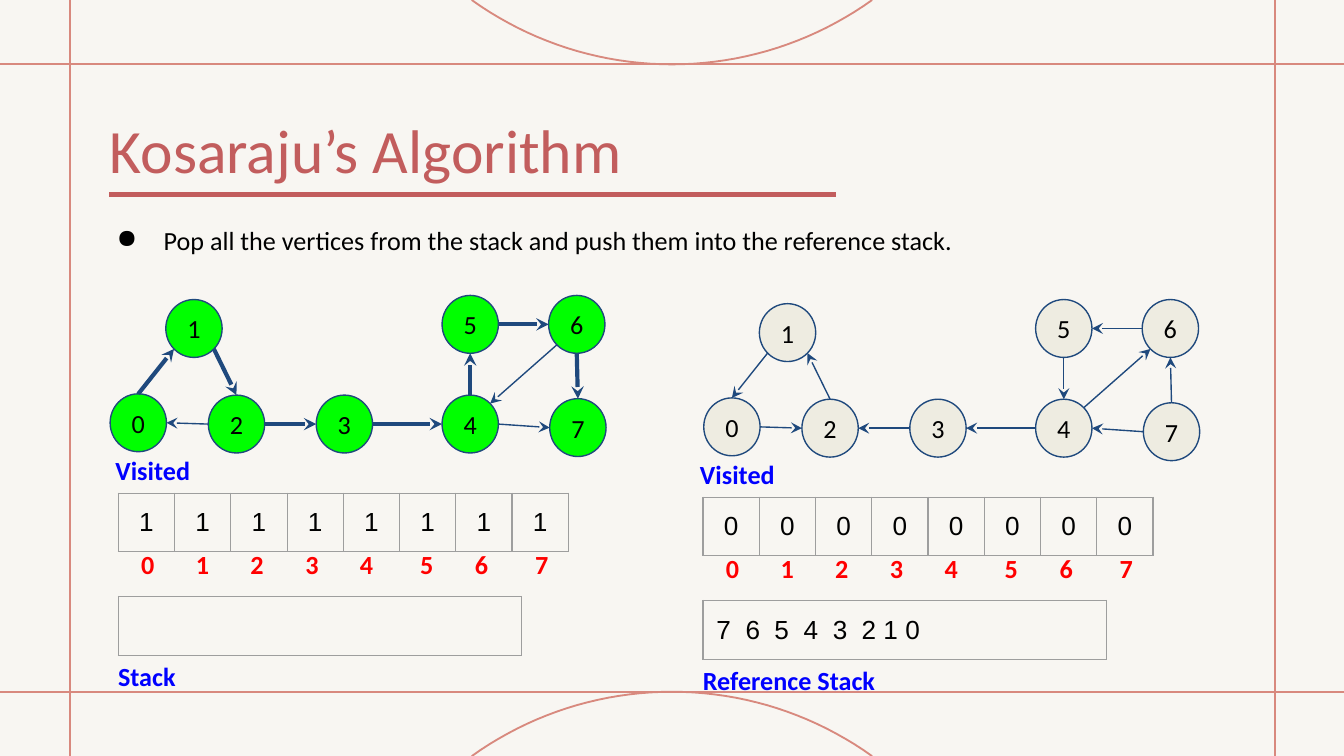
import math

import lxml.etree
import pptx
import pptx.dml.color
import pptx.enum.shapes
import pptx.enum.text
import pptx.oxml
import pptx.oxml.ns
import pptx.util

Pt = pptx.util.Pt
qn = pptx.oxml.ns.qn
ALIGN = pptx.enum.text.PP_ALIGN
MIDDLE = pptx.enum.text.MSO_ANCHOR.MIDDLE

W, H = 720, 405
TOP, BOTTOM = 34.5, 370.6
NODE_W, NODE_H = 30.2, 31
CELL_W, CELL_H = 30.15, 31.2
GRAPH_DX, TABLE_DX, PANEL_DY = 318, 313.2, 2.2
BODY = {"size": Pt(14), "name": "Calibri"}
STRONG = {**BODY, "bold": True}
DIGIT = {"size": Pt(14), "name": "Arial"}
INDEX_STOPS = (9.5, 38.8, 68, 97.4, 126.7, 158.9, 188.3, 220.5)
STACK_STOPS = (15.6, 31.1, 46.7, 62.3, 77.8, 89.5, 101.2)

NODES = {
    0: (59, 211), 2: (111.6, 211.7), 1: (88.8, 160.5), 3: (169.4, 211.7),
    4: (236.8, 211.7), 7: (294.5, 213.6), 6: (293.9, 158.3), 5: (236.8, 158.3),
}
SITES = {"e": 0, "se": 45, "s": 90, "sw": 135, "w": 180, "n": 270, "ne": 315}
EDGES = [
    (2, "w", 0, "e", False), (2, "e", 3, "w", True), (3, "e", 4, "w", True),
    (4, "n", 5, "s", True), (5, "e", 6, "w", True), (6, "s", 7, "n", True),
    (6, "sw", 4, "ne", False), (4, "e", 7, "w", False),
    (1, "se", 2, "n", True), (0, "n", 1, "sw", True),
]


def rgb(value):
    return pptx.dml.color.RGBColor.from_string(value)


def set_line(line, color, width):
    line.color.rgb = rgb(color)
    line.width = Pt(width)


def add_run(p, text, color, fmt):
    r = p.add_run()
    r.text = text
    for key, value in fmt.items():
        setattr(r.font, key, value)
    r.font.color.rgb = rgb(color)


def add_tabs(p, stops, align):
    tabs = lxml.etree.SubElement(p._p.get_or_add_pPr(), qn("a:tabLst"))
    for stop in stops:
        lxml.etree.SubElement(tabs, qn("a:tab"), pos=str(Pt(stop)), algn=align)


def add_bullet(p, indent, hanging):
    pPr = p._p.get_or_add_pPr()
    pPr.set("marL", str(Pt(indent)))
    pPr.set("indent", str(-Pt(hanging)))
    clr = lxml.etree.SubElement(pPr, qn("a:buClr"))
    lxml.etree.SubElement(clr, qn("a:srgbClr"), val="000000")
    lxml.etree.SubElement(pPr, qn("a:buChar"), char="●")


def add_text(s, x, y, w, h, text, color, fmt, inset=7.2):
    tf = s.shapes.add_textbox(Pt(x), Pt(y), Pt(w), Pt(h)).text_frame
    tf.word_wrap = True
    for side in ("left", "top", "right", "bottom"):
        setattr(tf, f"margin_{side}", Pt(inset))
    p = tf.paragraphs[0]
    add_run(p, text, color, fmt)
    return p


def add_line(s, start, end, color, width, arrow=False):
    c = s.shapes.add_connector(pptx.enum.shapes.MSO_CONNECTOR.STRAIGHT,
                               *(Pt(v) for v in (*start, *end)))
    set_line(c.line, color, width)
    if arrow:
        lxml.etree.SubElement(c.line._get_or_add_ln(), qn("a:tailEnd"),
                              type="stealth", w="med", len="med")
    lxml.etree.SubElement(c._element.spPr, qn("a:effectLst"))


def add_arc(s, apex, direction, radius=184, depth=34.5):
    half = math.acos(1 - depth / radius)
    points = []
    for i in range(41):
        a = half * (i / 20 - 1)
        x = W / 2 + radius * math.sin(a)
        y = apex + direction * radius * (1 - math.cos(a))
        points.append((Pt(x), Pt(y)))
    fb = s.shapes.build_freeform(*points[0])
    fb.add_line_segments(points[1:], close=False)
    sp = fb.convert_to_shape()
    sp.shadow.inherit = False
    sp.fill.background()
    set_line(sp.line, "D8897E", 1)


def add_court(s):
    for y in (BOTTOM, TOP):
        add_line(s, (0, y), (W, y), "D8897E", 1)
    for x in (683, 37.5):
        add_line(s, (x, 0), (x, H), "D8897E", 1)
    add_arc(s, TOP, -1)
    add_arc(s, BOTTOM, 1)


def add_node(s, x, y, label, fill):
    sp = s.shapes.add_shape(pptx.enum.shapes.MSO_SHAPE.OVAL,
                            Pt(x), Pt(y), Pt(NODE_W), Pt(NODE_H))
    sp.shadow.inherit = False
    sp.fill.solid()
    sp.fill.fore_color.rgb = rgb(fill)
    set_line(sp.line, "1F497D", 0.75)
    tf = sp.text_frame
    tf.word_wrap = False
    tf.vertical_anchor = MIDDLE
    p = tf.paragraphs[0]
    p.alignment = ALIGN.CENTER
    add_run(p, label, "000000", BODY)


def add_graph(s, dx, dy, fill, reverse):
    def site(node, name):
        x, y = NODES[node]
        a = math.radians(SITES[name])
        return (x + dx + NODE_W / 2 * (1 + math.cos(a)),
                y + dy + NODE_H / 2 * (1 + math.sin(a)))

    for node, (x, y) in NODES.items():
        add_node(s, x + dx, y + dy, str(node), fill)
    for u, u_site, v, v_site, visited in EDGES:
        ends = [site(u, u_site), site(v, v_site)]
        if reverse:
            ends.reverse()
        width = 2.25 if visited and not reverse else 0.75
        add_line(s, *ends, "1F497D", width, arrow=True)


def style_cell(cell):
    cell.vertical_anchor = MIDDLE
    cell.fill.background()
    for i, side in enumerate("LRTB"):
        cell._tc.get_or_add_tcPr().insert(i, pptx.oxml.parse_xml(
            f'<a:ln{side} xmlns:a="http://schemas.openxmlformats.org/drawingml/2006/main"'
            f' w="{Pt(0.75)}"><a:solidFill><a:srgbClr val="9E9E9E"/></a:solidFill></a:ln{side}>'))


def add_row(s, x, y, w, h, texts):
    table = s.shapes.add_table(1, len(texts), Pt(x), Pt(y), Pt(w), Pt(h)).table
    table.first_row = table.horz_banding = False
    for cell, text in zip(table.iter_cells(), texts):
        style_cell(cell)
        p = cell.text_frame.paragraphs[0]
        if len(texts) > 1:
            p.alignment = ALIGN.CENTER
        if "\t" in text:
            add_tabs(p, STACK_STOPS, "l")
        if text:
            add_run(p, text, "000000", DIGIT)


def add_arrays(s, dx, dy, flag, stack, caption, caption_w):
    add_row(s, 63.4 + dx, 319.5 + dy, 216, 31.6, [stack])
    add_text(s, 56.2 + dx, 346.5 + dy, caption_w, 41.8, caption, "0000FF", STRONG)
    add_row(s, 63.4 + dx, 264.2 + dy, 8 * CELL_W, CELL_H, [flag] * 8)
    add_text(s, 54.7 + dx, 236.2 + dy, 60, 41.8, "Visited", "0000FF", STRONG)
    p = add_text(s, 62.6 + dx, 286.6 + dy, 339, 31.7,
                 "".join(f"\t{i}" for i in range(8)), "FF0000", STRONG)
    add_tabs(p, INDEX_STOPS, "ctr")


def main():
    prs = pptx.Presentation()
    prs.slide_width, prs.slide_height = Pt(W), Pt(H)
    s = prs.slides.add_slide(prs.slide_layouts[6])
    s.background.fill.solid()
    s.background.fill.fore_color.rgb = rgb("F8F6F2")
    add_court(s)
    add_line(s, (58.4, 104.2), (447.8, 104.2), "C25D5D", 3)
    add_text(s, 58.8, 60, 332.6, 40.3, "Kosaraju’s Algorithm", "C25D5D",
             {"size": Pt(33), "name": "Calibri"}, inset=0)
    add_graph(s, 0, 0, "00FF00", False)
    add_graph(s, GRAPH_DX, PANEL_DY, "EEECE1", True)
    p = add_text(s, 44.6, 113.2, 488, 31.7,
                 "Pop all the vertices from the stack and push them into the reference stack.",
                 "000000", BODY)
    add_bullet(p, 36, 25.2)
    add_arrays(s, 0, 0, "1", "", "Stack", 62.6)
    add_arrays(s, TABLE_DX, PANEL_DY, "0", "\t".join("76543210"), "Reference Stack", 121)
    prs.save("out.pptx")


if __name__ == "__main__":
    main()
